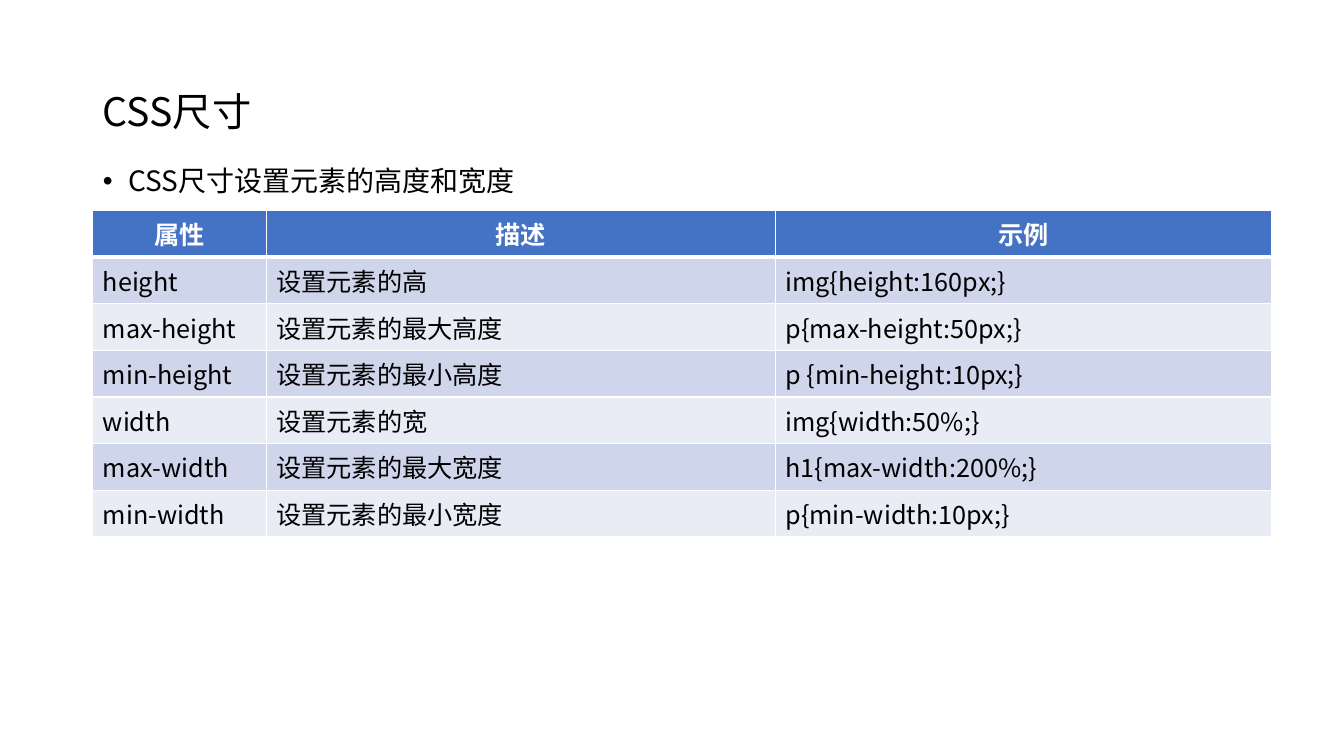
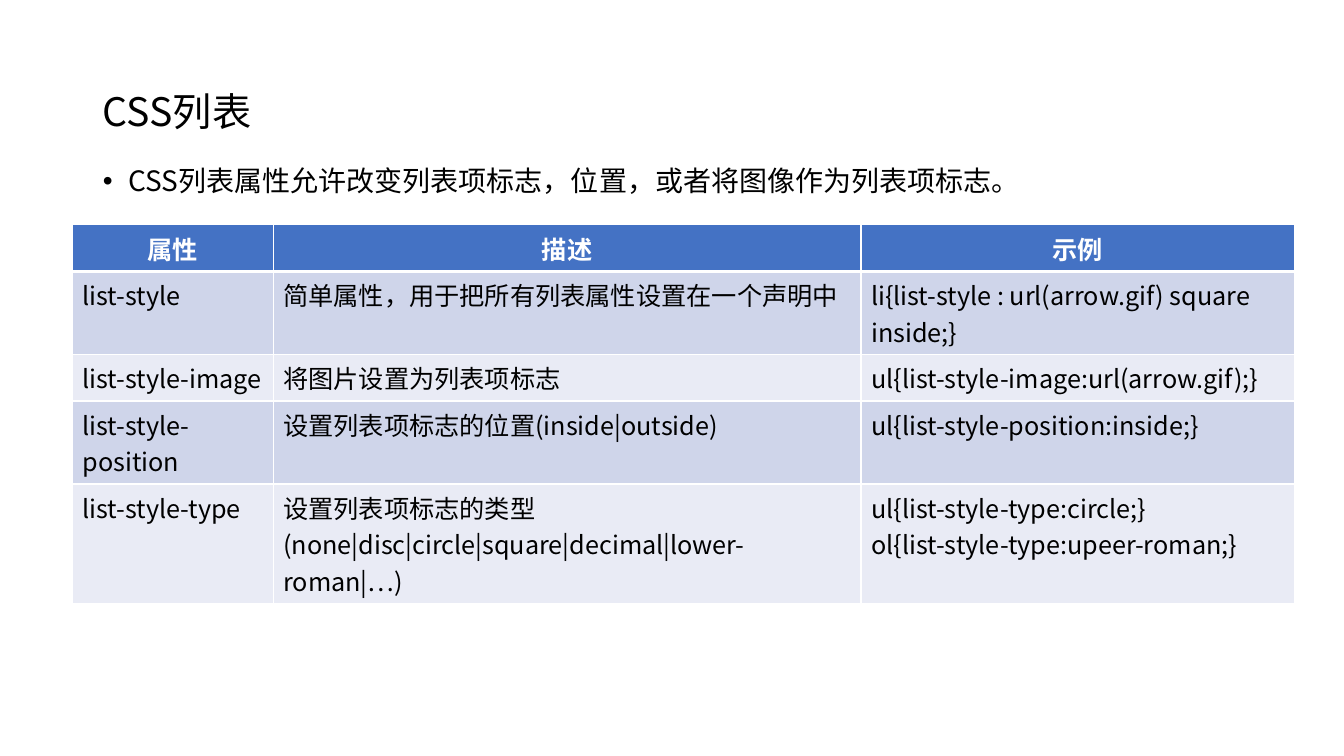
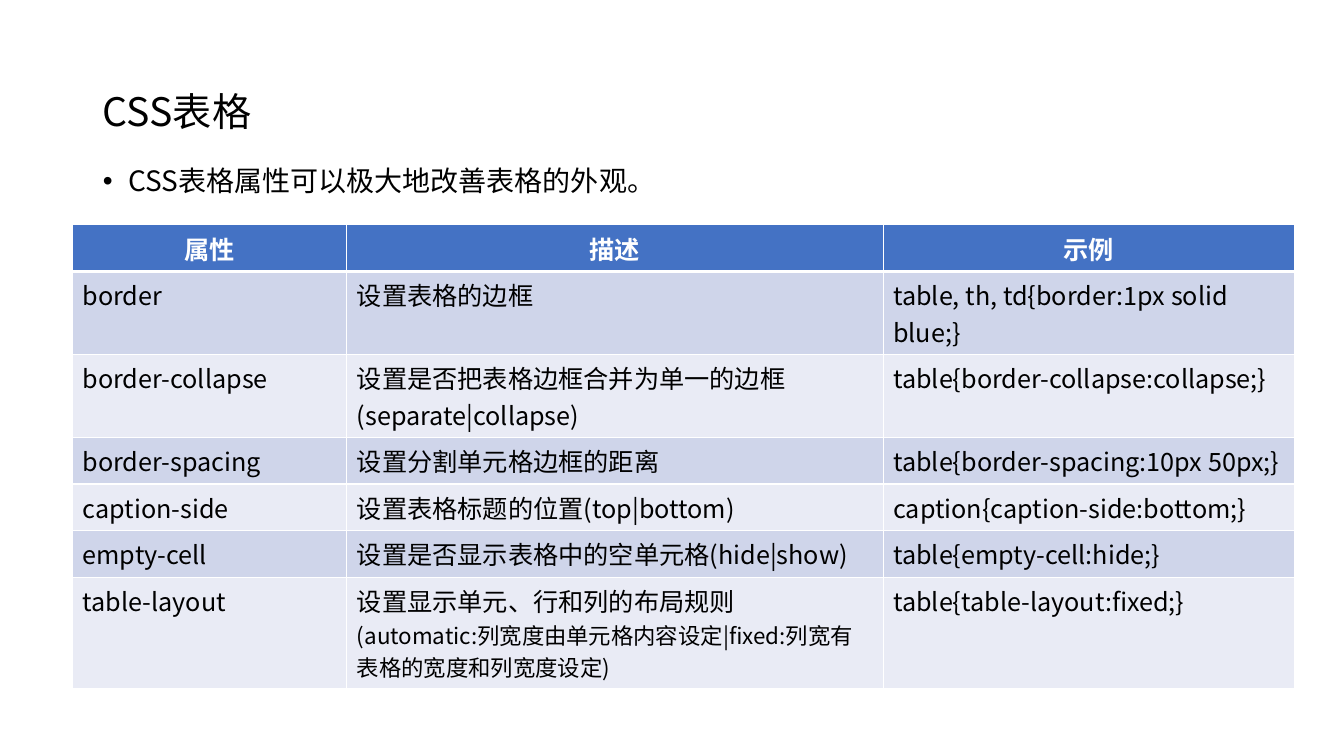
from pptx import Presentation
from pptx.dml.color import RGBColor
from pptx.enum.text import MSO_ANCHOR as Anchor, MSO_AUTO_SIZE as Fit, PP_ALIGN as Align
from pptx.oxml.ns import qn
from pptx.util import Inches, Pt
from lxml.etree import SubElement as Sub

BLACK = RGBColor(0x00, 0x00, 0x00)
WHITE = RGBColor(0xFF, 0xFF, 0xFF)
BLUE = RGBColor(0x44, 0x72, 0xC4)
BANDS = RGBColor(0xE9, 0xEB, 0xF5), RGBColor(0xCF, 0xD5, 0xEA)
FACE = "Noto Sans CJK SC"
HEADS = "属性", "描述", "示例"


class Deck:
    """Holds the shared style and the current slide."""

    title_font = {"size": Pt(28), "bold": False}
    list_font = {"size": Pt(20), "bold": False}
    head_font = {"size": Pt(18), "bold": True}
    cell_font = {"size": Pt(18), "bold": False}

    def __init__(self):
        self.prs = Presentation()
        self.prs.slide_width = Inches(13.33)
        self.prs.slide_height = Inches(7.5)
        self.slide = None

    def style(self, para, font, color=BLACK, **form):
        for name, value in form.items():
            setattr(para, name, value)
        for run in para.runs:
            for name, value in {"name": FACE, **font}.items():
                setattr(run.font, name, value)
            run.font.color.rgb = color
            props = run._r.get_or_add_rPr()
            if props.find(qn("a:ea")) is None:
                east = Sub(props, qn("a:ea"), typeface=FACE)
                props.find(qn("a:latin")).addnext(east)

    def fill(self, holder, text, box, anchor):
        spots = zip(("left", "top", "width", "height"), box)
        for name, value in spots:
            setattr(holder, name, Inches(value))
        frame = holder.text_frame
        frame.text = text
        form = {"auto_size": Fit.NONE, "word_wrap": True, "vertical_anchor": anchor}
        for name, value in form.items():
            setattr(frame, name, value)
        return frame.paragraphs[0]

    def start(self, title, point):
        self.slide = self.prs.slides.add_slide(self.prs.slide_layouts[1])
        head, body = self.slide.placeholders
        para = self.fill(head, title, (0.92, 0.4, 11.5, 1.45), Anchor.MIDDLE)
        self.style(para, self.title_font, alignment=Align.LEFT, line_spacing=0.9)
        para = self.fill(body, point, (0.92, 1.61, 11.69, 5.49), Anchor.TOP)
        self.style(para, self.list_font, line_spacing=0.9, space_before=Pt(10))
        props = para._p.get_or_add_pPr()
        props.set("marL", str(Inches(0.25)))
        props.set("indent", str(-Inches(0.25)))
        Sub(props, qn("a:buFont"), typeface="Arial")
        Sub(props, qn("a:buChar"), char="•")

    def edge(self, cell, base):
        props = cell._tc.get_or_add_tcPr()
        for side, width in {"L": 1, "R": 1, "T": 1, "B": base}.items():
            line = Sub(props, qn(f"a:ln{side}"), w=str(Pt(width)))
            Sub(Sub(line, qn("a:solidFill")), qn("a:srgbClr"), val=str(WHITE))

    def table(self, left, top, widths, rows):
        rows = [HEADS, *rows]
        high = 0.41
        grid = self.slide.shapes.add_table(
            len(rows), len(widths), Inches(left), Inches(top),
            Inches(sum(widths)), Inches(high * len(rows))).table
        for col, width in zip(grid.columns, widths):
            col.width = Inches(width)
        for r, texts in enumerate(rows):
            grid.rows[r].height = Inches(high)
            for c, text in enumerate(texts):
                cell = grid.cell(r, c)
                cell.text = text
                self.edge(cell, 1 if r else 3)
                cell.fill.solid()
                cell.fill.fore_color.rgb = BANDS[r % 2] if r else BLUE
                for para in cell.text_frame.paragraphs:
                    if r:
                        self.style(para, self.cell_font)
                    else:
                        self.style(para, self.head_font, WHITE, alignment=Align.CENTER)
        return grid


def main():
    deck = Deck()

    deck.start("CSS尺寸", "CSS尺寸设置元素的高度和宽度")
    deck.table(0.92, 2.09, (1.72, 5.05, 4.92), [
        ("height", "设置元素的高", "img{height:160px;}"),
        ("max-height", "设置元素的最大高度", "p{max-height:50px;}"),
        ("min-height", "设置元素的最小高度", "p {min-height:10px;}"),
        ("width", "设置元素的宽", "img{width:50%;}"),
        ("max-width", "设置元素的最大宽度", "h1{max-width:200%;}"),
        ("min-width", "设置元素的最小宽度", "p{min-width:10px;}"),
    ])

    deck.start("CSS列表", "CSS列表属性允许改变列表项标志，位置，或者将图像作为列表项标志。")
    deck.table(0.72, 2.23, (1.99, 5.83, 4.3), [
        ("list-style", "简单属性，用于把所有列表属性设置在一个声明中",
         "li{list-style : url(arrow.gif) square inside;}"),
        ("list-style-image", "将图片设置为列表项标志",
         "ul{list-style-image:url(arrow.gif);}"),
        ("list-style-position", "设置列表项标志的位置(inside|outside)",
         "ul{list-style-position:inside;}"),
        ("list-style-type",
         "设置列表项标志的类型\n(none|disc|circle|square|decimal|lower-roman|…)",
         "ul{list-style-type:circle;}\nol{list-style-type:upeer-roman;}"),
    ])

    deck.start("CSS表格", "CSS表格属性可以极大地改善表格的外观。")
    grid = deck.table(0.72, 2.23, (2.72, 5.32, 4.08), [
        ("border", "设置表格的边框", "table, th, td{border:1px solid blue;}"),
        ("border-collapse", "设置是否把表格边框合并为单一的边框\n(separate|collapse)",
         "table{border-collapse:collapse;}"),
        ("border-spacing", "设置分割单元格边框的距离", "table{border-spacing:10px 50px;}"),
        ("caption-side", "设置表格标题的位置(top|bottom)", "caption{caption-side:bottom;}"),
        ("empty-cell", "设置是否显示表格中的空单元格(hide|show)", "table{empty-cell:hide;}"),
        ("table-layout",
         "设置显示单元、行和列的布局规则\n"
         "(automatic:列宽度由单元格内容设定|fixed:列宽有表格的宽度和列宽度设定)",
         "table{table-layout:fixed;}"),
    ])
    note = grid.cell(6, 1).text_frame.paragraphs[1]
    deck.style(note, {"size": Pt(16)})

    deck.prs.save("out.pptx")


if __name__ == "__main__":
    main()
